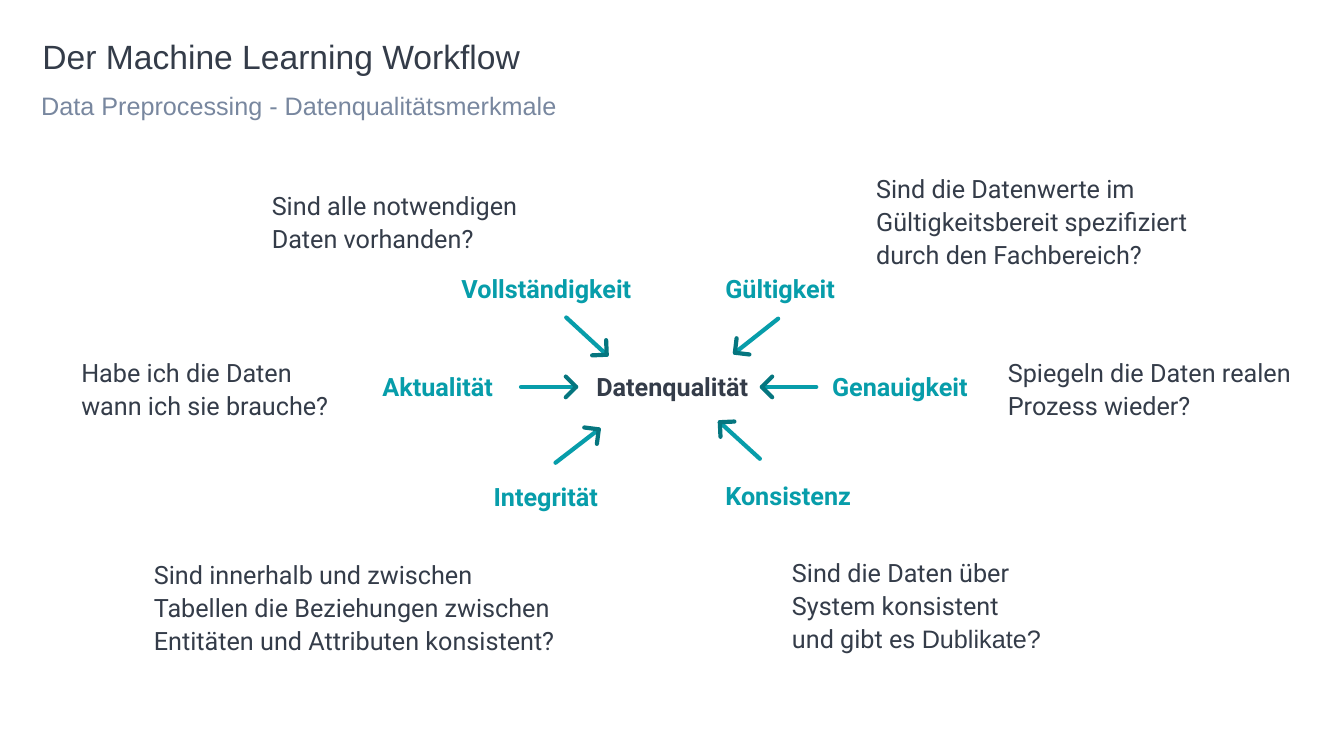
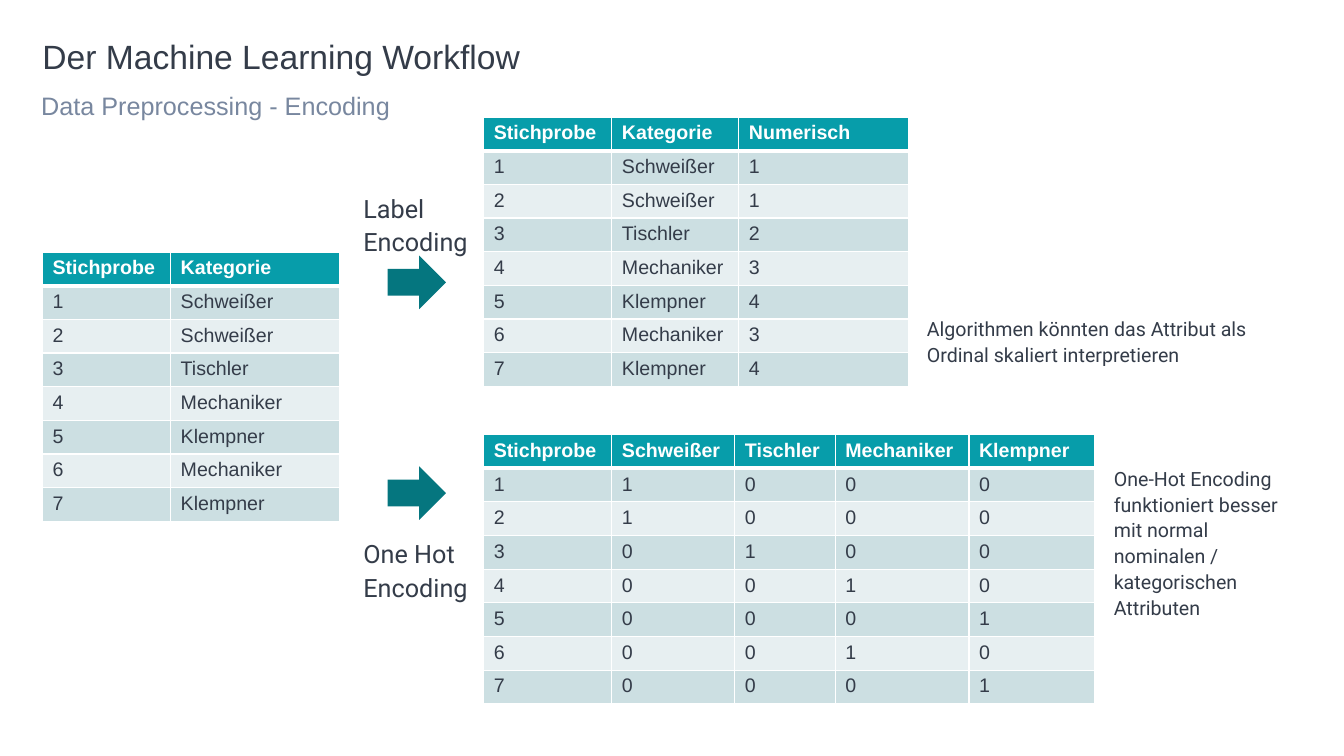
from lxml import etree
from pptx import Presentation
from pptx.dml.color import RGBColor
from pptx.enum.shapes import MSO_CONNECTOR, MSO_SHAPE
from pptx.enum.text import MSO_ANCHOR, MSO_AUTO_SIZE
from pptx.oxml.ns import qn
from pptx.util import Cm, Pt

STRAIGHT = MSO_CONNECTOR.STRAIGHT
RIGHT_ARROW = MSO_SHAPE.RIGHT_ARROW
TOP = MSO_ANCHOR.TOP
GROW = MSO_AUTO_SIZE.SHAPE_TO_FIT_TEXT

COLORS = {
    "ink": "343C49", "muted": "78879F", "teal": "079DAA", "dark_teal": "05767F",
    "band_dark": "CCDFE2", "band_light": "E7EFF1", "white": "FFFFFF",
}
BODY_FONT, HEAD_FONT = "Roboto", "Arial"


def rgb(name):
    return RGBColor.from_string(COLORS[name])


class Deck:
    """Presentation style together with the slide being filled."""

    def __init__(self):
        self.prs = Presentation()
        self.prs.slide_width, self.prs.slide_height = Cm(33.87), Cm(19.05)
        self.s = None

    def slide(self, title, subtitle):
        self.s = self.prs.slides.add_slide(self.prs.slide_layouts[6])
        self.text(title, 1.07, 1.02, 31.8, 1.04, size=24, font=HEAD_FONT,
                  spacing=0.9, margins=(0, 0, 0.25, 0.13), grow=False)
        self.text(subtitle, 1.04, 2.06, 31.8, 1.24, color="muted", font=HEAD_FONT,
                  margins=(0, 0.13, 0.25, 0.13), grow=False)

    def style(self, r, size=18, color="ink", font=BODY_FONT, bold=False):
        r.font.size, r.font.name, r.font.bold = Pt(size), font, bold
        r.font.color.rgb = rgb(color)

    def text(self, text, x, y, w, h, spacing=1.1, margins=(0.5,) * 4,
             wrap=True, grow=True, **style):
        sp = self.s.shapes.add_textbox(Cm(x), Cm(y), Cm(w), Cm(h))
        tf = sp.text_frame
        tf.text = text
        tf.word_wrap = wrap
        tf.vertical_anchor = TOP
        tf.margin_left, tf.margin_top, tf.margin_right, tf.margin_bottom = map(Cm, margins)
        if grow:
            tf.auto_size = GROW
        for p in tf.paragraphs:
            p.line_spacing = spacing
            for r in p.runs:
                self.style(r, **style)
        return sp

    def stroke(self, sp, color):
        """Thick line with round ends."""
        sp.line.width = Pt(3)
        sp.line.color.rgb = rgb(color)
        sp.line._get_or_add_ln().set("cap", "rnd")

    def thin_arrow(self, tail, tip):
        """Line from tail to tip with an open, darker head."""
        shapes = self.s.shapes.add_group_shape().shapes
        shaft = shapes.add_connector(STRAIGHT, *map(Cm, tail + tip))
        etree.SubElement(shaft._element.spPr, qn("a:effectLst"))
        self.stroke(shaft, "teal")

        dx, dy = tip[0] - tail[0], tip[1] - tail[1]
        scale = 0.26 / (dx * dx + dy * dy) ** 0.5
        ux, uy = dx * scale, dy * scale
        wings = [(tip[0] - ux - side * uy, tip[1] - uy + side * ux) for side in (-1, 1)]
        start, *rest = [(Cm(x), Cm(y)) for x, y in (wings[0], tip, wings[1])]
        builder = shapes.build_freeform(*start)
        builder.add_line_segments(rest, close=False)
        head = builder.convert_to_shape()
        head.shadow.inherit = False
        head.fill.background()
        self.stroke(head, "dark_teal")

    def block_arrow(self, x, y):
        sp = self.s.shapes.add_shape(RIGHT_ARROW, Cm(x), Cm(y), Cm(1.47), Cm(1.35))
        sp.shadow.inherit = False
        sp.fill.solid()
        sp.fill.fore_color.rgb = rgb("dark_teal")
        sp.line.fill.background()

    def cell_borders(self, cell, bottom):
        tc_pr = cell._tc.get_or_add_tcPr()
        for side, width in (("L", 1), ("R", 1), ("T", 1), ("B", bottom)):
            ln = etree.SubElement(tc_pr, qn("a:ln" + side), w=str(Pt(width)))
            fill = etree.SubElement(ln, qn("a:solidFill"))
            etree.SubElement(fill, qn("a:srgbClr"), val=COLORS["white"])

    def table(self, x, y, widths, rows):
        row_height = 0.8
        table = self.s.shapes.add_table(
            len(rows), len(widths), Cm(x), Cm(y),
            Cm(sum(widths)), Cm(row_height * len(rows))).table
        for column, width in zip(table.columns, widths):
            column.width = Cm(width)
        for i, values in enumerate(rows):
            header = i == 0
            fill = "teal" if header else "band_dark" if i % 2 else "band_light"
            table.rows[i].height = Cm(row_height)
            for cell, value in zip(table.rows[i].cells, values):
                self.cell_borders(cell, 3 if header else 1)
                cell.fill.solid()
                cell.fill.fore_color.rgb = rgb(fill)
                cell.text = str(value)
                self.style(cell.text_frame.paragraphs[0].runs[0], 14,
                           "white" if header else "ink", HEAD_FONT, header)


def quality_slide(deck):
    deck.slide("Der Machine Learning Workflow",
               "Data Preprocessing - Datenqualitätsmerkmale")
    deck.text("Datenqualität", 14.53, 8.86, 5.08, 1.78, wrap=False, bold=True)
    for name, x, y, w in (
        ("Vollständigkeit", 11.13, 6.38, 5.51),
        ("Gültigkeit", 17.78, 6.38, 3.96),
        ("Genauigkeit", 20.47, 8.86, 4.67),
        ("Konsistenz", 17.78, 11.61, 4.42),
        ("Integrität", 11.94, 11.63, 3.76),
        ("Aktualität", 9.14, 8.86, 3.94),
    ):
        deck.text(name, x, y, w, 1.78, wrap=False, color="teal", bold=True)

    for question, x, y, w, h in (
        ("Sind alle notwendigen Daten vorhanden?", 6.35, 4.22, 7.52, 2.64),
        ("Sind die Datenwerte im Gültigkeitsbereit spezifiziert durch den Fachbereich?",
         21.58, 3.78, 9.04, 3.48),
        ("Spiegeln die Daten realen Prozess wieder?", 24.9, 8.43, 8.26, 2.64),
        ("Sind innerhalb und zwischen Tabellen die Beziehungen zwischen "
         "Entitäten und Attributen konsistent?", 3.38, 13.51, 11.53, 3.48),
        ("Habe ich die Daten wann ich sie brauche?", 1.55, 8.43, 7.52, 2.64),
    ):
        deck.text(question, x, y, w, h)
    sp = deck.text("Sind die Daten über System konsistent und gibt es ",
                   19.46, 13.46, 7.32, 3.48)
    r = sp.text_frame.paragraphs[0].add_run()
    r.text = "Dublikate?"
    deck.style(r, font=HEAD_FONT)

    for tail, tip in (
        ((14.27, 8), (15.29, 8.94)),
        ((14, 11.66), (15.09, 10.82)),
        ((19.61, 8.03), (18.52, 8.89)),
        ((19.15, 11.56), (18.14, 10.64)),
        ((20.57, 9.75), (19.2, 9.75)),
        ((13.13, 9.75), (14.52, 9.75)),
    ):
        deck.thin_arrow(tail, tip)


def encoding_slide(deck):
    categories = ["Schweißer", "Tischler", "Mechaniker", "Klempner"]
    samples = list(enumerate(
        ["Schweißer", "Schweißer", "Tischler", "Mechaniker",
         "Klempner", "Mechaniker", "Klempner"], 1))
    labelled = [(n, name, categories.index(name) + 1) for n, name in samples]
    one_hot = [[n] + [int(name == c) for c in categories] for n, name in samples]

    deck.slide("Der Machine Learning Workflow", "Data Preprocessing - Encoding")
    deck.table(1.07, 6.35, (3.23, 4.27), [("Stichprobe", "Kategorie")] + samples)
    deck.table(12.19, 2.95, (3.23, 3.2, 4.27),
               [("Stichprobe", "Kategorie", "Numerisch")] + labelled)
    deck.table(12.19, 10.95, (3.23, 3.1, 2.53, 3.37, 3.17),
               [["Stichprobe"] + categories] + one_hot)

    deck.text("Algorithmen könnten das Attribut als Ordinal skaliert interpretieren",
              22.86, 7.42, 9.14, 2.29, size=14)
    deck.text("One-Hot Encoding funktioniert besser mit normal nominalen / "
              "kategorischen Attributen", 27.57, 11.2, 5.36, 4.9, size=14)
    for label, label_y, arrow_y in (("Label", 4.29, 6.44), ("One Hot", 13, 11.75)):
        deck.block_arrow(9.77, arrow_y)
        deck.text(label + "\nEncoding", 8.66, label_y, 3.68, 2.64, wrap=False)


def main():
    deck = Deck()
    quality_slide(deck)
    encoding_slide(deck)
    deck.prs.save("out.pptx")


if __name__ == "__main__":
    main()
